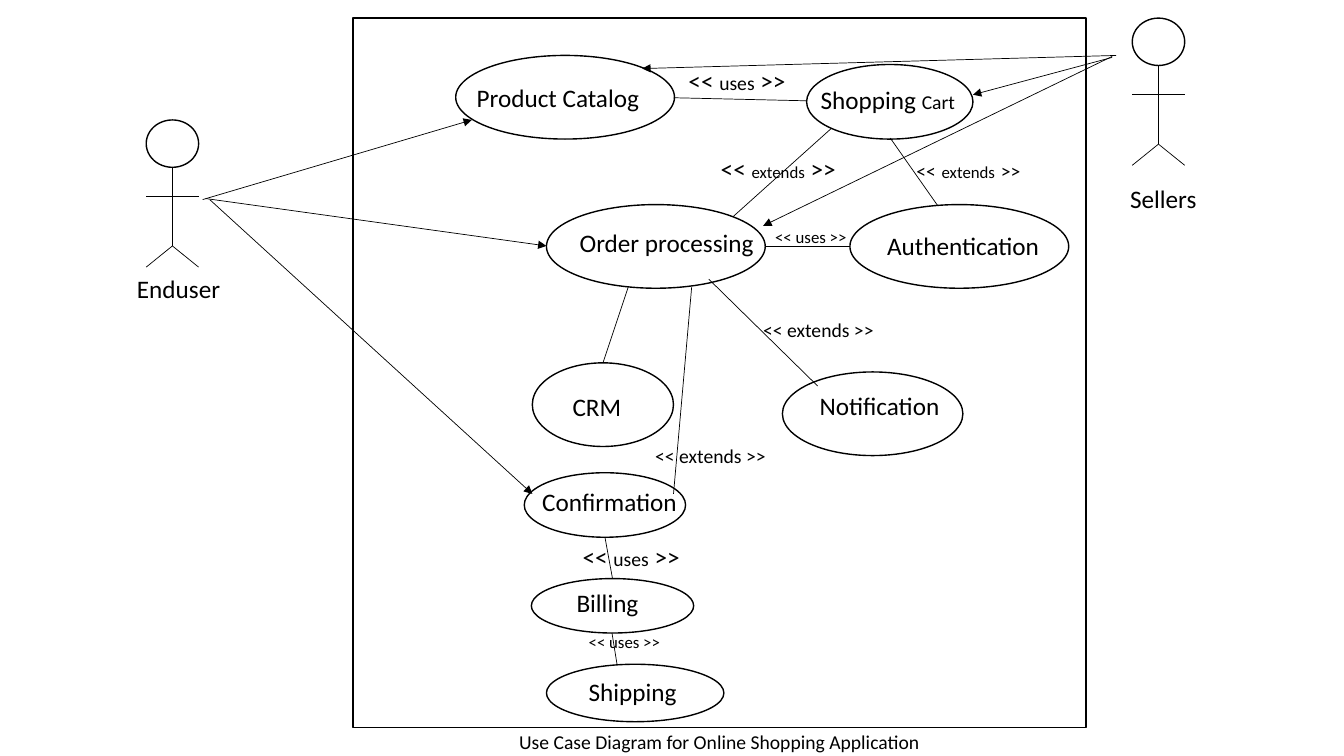
from dataclasses import dataclass

from lxml import etree
from pptx import Presentation
from pptx.dml.color import RGBColor
from pptx.enum.shapes import MSO_CONNECTOR, MSO_SHAPE
from pptx.enum.text import MSO_AUTO_SIZE
from pptx.oxml.ns import qn
from pptx.util import Emu, Pt

EMU_PER_PX = 9144  # 100 px to the inch
STRAIGHT = MSO_CONNECTOR.STRAIGHT
OVAL = MSO_SHAPE.OVAL
RECTANGLE = MSO_SHAPE.RECTANGLE
FIT_SHAPE = MSO_AUTO_SIZE.SHAPE_TO_FIT_TEXT
TOP = 0


@dataclass(frozen=True)
class Theme:
    font: str = "Calibri"
    ink: RGBColor = RGBColor(0, 0, 0)
    large: int = 18
    medium: int = 14
    small: int = 12
    outline: float = 1
    link: float = 0.5


def px(value):
    return Emu(value * EMU_PER_PX)


class UseCaseDiagram:
    def __init__(self, slide, theme):
        self.slide = slide
        self.theme = theme

    def outline(self, kind, box):
        shape = self.slide.shapes.add_shape(kind, *map(px, box))
        shape.shadow.inherit = False
        shape.fill.background()
        shape.line.color.rgb = self.theme.ink
        shape.line.width = Pt(self.theme.outline)
        return shape

    def label(self, parts, box, wrap=True):
        """Write one line of text from (text, size) parts."""
        text_frame = self.slide.shapes.add_textbox(*map(px, box)).text_frame
        text_frame.word_wrap = wrap
        text_frame.auto_size = FIT_SHAPE
        for text, size in parts:
            run = text_frame.paragraphs[0].add_run()
            run.text = text
            run.font.name = self.theme.font
            run.font.size = Pt(size)
            run.font.color.rgb = self.theme.ink

    def use_case(self, parts, oval_box, label_box):
        self.label(parts, label_box)
        return self.outline(OVAL, oval_box)

    def link(self, start, end, arrow=False):
        connector = self.slide.shapes.add_connector(STRAIGHT, *map(px, start + end))
        connector.line.color.rgb = self.theme.ink
        connector.line.width = Pt(self.theme.link)
        if arrow:
            line = connector.line._get_or_add_ln()
            etree.SubElement(line, qn("a:tailEnd"), type="triangle")
        etree.SubElement(connector._element.spPr, qn("a:effectLst"))
        return connector

    def actor(self, name, left, top, label_box):
        """Draw a stick figure with its name below."""
        middle, right = left + 26, left + 52
        neck, arms, hips, feet = top + 47, top + 76, top + 125, top + 146
        self.outline(OVAL, (left, top, 52, 47))
        self.link((middle, neck), (middle, hips))
        self.link((left, arms), (right, arms))
        for foot in (left, right):
            self.link((middle, hips), (foot, feet))
        self.label([(name, self.theme.large)], label_box)


def main():
    presentation = Presentation()
    presentation.slide_width = px(1333)
    presentation.slide_height = px(750)
    slide = presentation.slides.add_slide(presentation.slide_layouts[6])
    theme = Theme()
    diagram = UseCaseDiagram(slide, theme)
    large, medium, small = theme.large, theme.medium, theme.small

    diagram.outline(RECTANGLE, (350, 18, 727, 704))

    use_cases = [
        ("Order processing", (542, 203, 217, 83), (565, 221, 215, 40)),
        ("Product Catalog", (452, 55, 217, 83), (463, 77, 215, 40)),
        ("Authentication", (843, 203, 217, 83), (870, 224, 215, 40)),
        ("Notification", (776, 369, 179, 83), (803, 382, 215, 40)),
        ("Shipping", (542, 659, 176, 57), (574, 666, 171, 40)),
        ("CRM", (528, 360, 140, 83), (558, 383, 79, 40)),
        ("Confirmation", (520, 469, 160, 64), (528, 478, 183, 40)),
        ("Billing", (527, 574, 161, 54), (562, 578, 127, 40)),
    ]
    ovals = {
        name: diagram.use_case([(name, large)], oval_box, label_box)
        for name, oval_box, label_box in use_cases
    }
    diagram.use_case(
        [("Shopping ", large), ("Cart", medium), (" ", large)],
        (800, 64, 165, 74), (804, 79, 215, 40),
    )

    diagram.actor("Enduser", 145, 119, (126, 266, 129, 40))
    diagram.actor("Sellers", 1123, 18, (1111, 177, 163, 40))

    relations = [
        ((759, 244), (843, 244)),  # order processing to authentication
        ((703, 277), (811, 383)),  # order processing to notification
        ((727, 215), (825, 127)),  # order processing to shopping cart
        ((668, 97), (800, 100)),   # product catalog to shopping cart
        ((883, 137), (930, 204)),  # shopping cart to authentication
        ((686, 285), (668, 490)),  # order processing to confirmation
        ((607, 628), (612, 659)),  # billing to shipping
    ]
    for start, end in relations:
        diagram.link(start, end)

    relations_to_top = [
        ((623, 285), (598, 360), "CRM"),
        ((600, 533), (607, 574), "Billing"),
    ]
    for start, end, target in relations_to_top:
        diagram.link(start, end).end_connect(ovals[target], TOP)

    actor_arrows = [
        ((201, 198), (468, 119)),
        ((204, 197), (542, 244)),
        ((208, 198), (528, 490)),
        ((1107, 55), (637, 68)),
        ((1103, 57), (965, 94)),
        ((1103, 56), (757, 224)),
    ]
    for start, end in actor_arrows:
        diagram.link(start, end, arrow=True)

    large_uses = [("<< ", large), ("uses", medium), (" >>", large)]
    large_extends = [("<< ", large), ("extends", small), (" >>", large)]
    mixed_extends = [("<<", medium), (" ", large), ("extends", small),
                     (" ", large), (">>", medium)]
    small_uses = [("<< uses >>", small)]
    medium_extends = [("<< extends >>", medium)]
    stereotypes = [
        (large_uses, (673, 60, 238, 40), True),
        (large_extends, (705, 147, 246, 40), True),
        (mixed_extends, (899, 147, 125, 40), False),
        (small_uses, (759, 220, 230, 30), True),
        (medium_extends, (747, 311, 131, 34), False),
        (medium_extends, (640, 435, 131, 34), False),
        (large_uses, (568, 532, 118, 40), False),
        (small_uses, (574, 622, 92, 30), False),
    ]
    for parts, box, wrap in stereotypes:
        diagram.label(parts, box, wrap)

    diagram.label([("Use Case Diagram for Online Shopping Application", medium)],
                  (505, 719, 585, 34))

    presentation.save("out.pptx")


if __name__ == "__main__":
    main()
